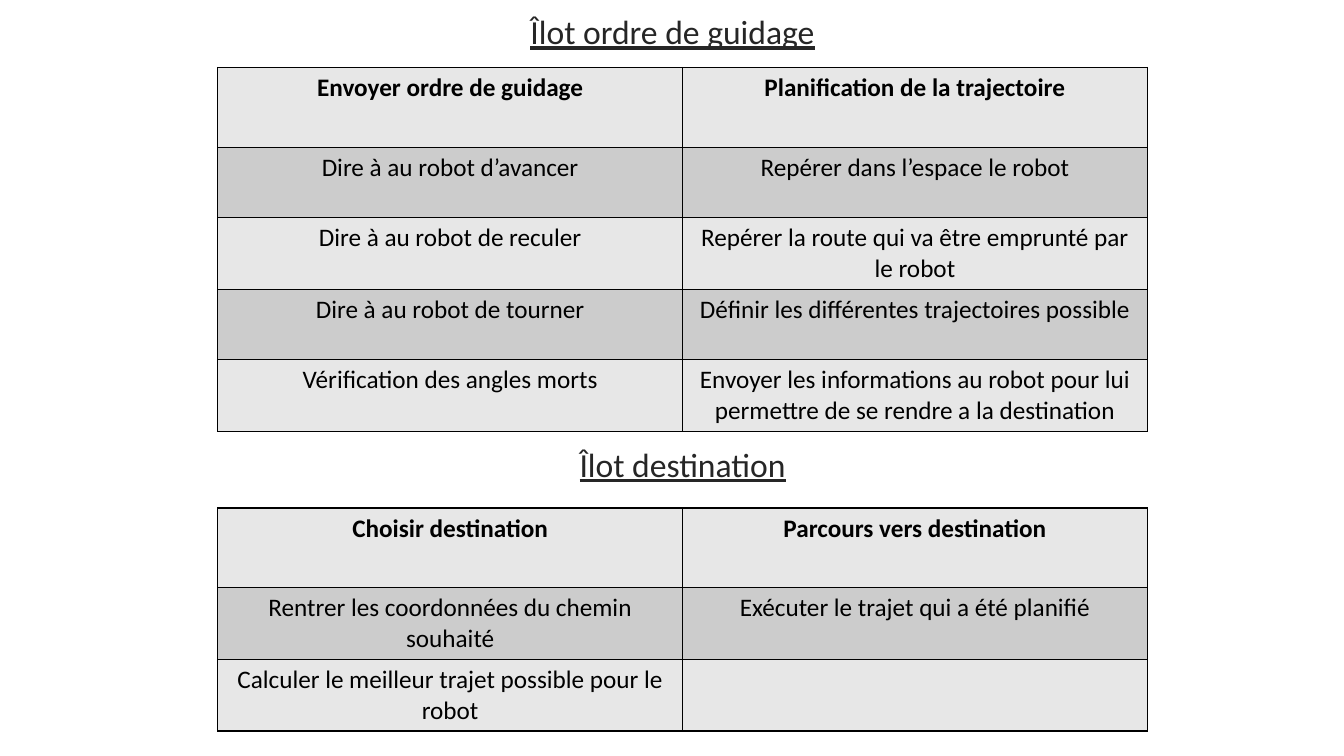
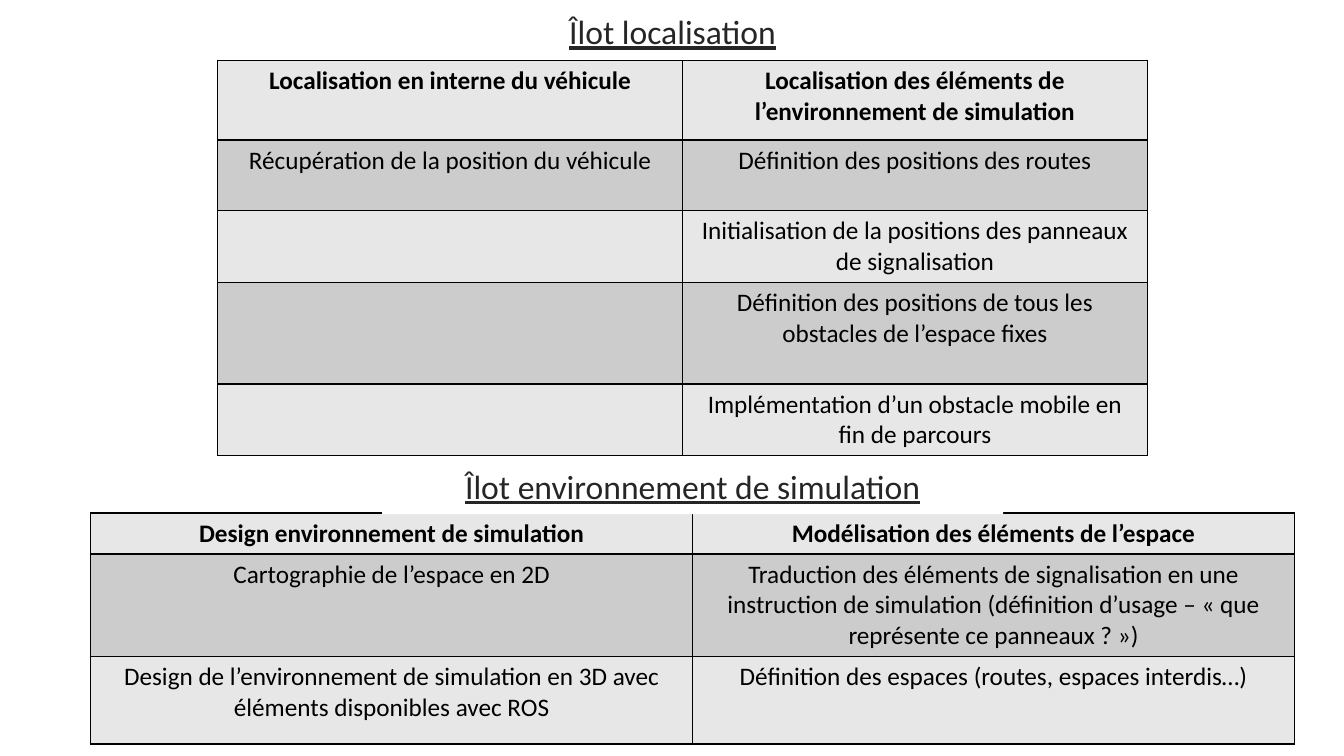
"""Build two slides of titled task tables for the robot guidance project."""
from lxml import etree
from pptx import Presentation
from pptx.dml.color import RGBColor
from pptx.enum.shapes import MSO_SHAPE
from pptx.enum.text import MSO_ANCHOR, PP_ALIGN
from pptx.oxml import parse_xml
from pptx.oxml.ns import nsdecls
from pptx.util import Inches, Pt

RECTANGLE = MSO_SHAPE.RECTANGLE
MIDDLE = MSO_ANCHOR.MIDDLE
CENTER = PP_ALIGN.CENTER

WHITE, BLACK, TITLE_GREY = "FFFFFF", "000000", "262626"
BANDS = ["E7E7E7", "CCCCCC"]
TITLE_FORMAT = {"size": Pt(24), "name": "Calibri", "underline": True}
CELL_FORMAT = {"size": Pt(18), "name": "Calibri"}
TITLE_HEIGHT = 0.56


def rgb(value):
    """Turn a hex string into a colour."""
    return RGBColor.from_string(value)


def write(frame, text, color, formats):
    """Write one centred paragraph with the given font formats."""
    paragraph = frame.paragraphs[0]
    paragraph.alignment = CENTER
    run = paragraph.add_run()
    run.text = text
    run.font.color.rgb = rgb(color)
    for key, value in formats.items():
        setattr(run.font, key, value)


SLIDES = [
    [
        {
            "title": "Îlot ordre de guidage",
            "title_box": (4.76, 0.03, 3.82),
            "table_box": (2.16, 0.67, 9.22),
            "heights": [0.79, 0.7, 0.71, 0.7, 0.71],
            "rows": [
                ("Envoyer ordre de guidage", "Planification de la trajectoire"),
                ("Dire à au robot d’avancer", "Repérer dans l’espace le robot"),
                ("Dire à au robot de reculer",
                 "Repérer la route qui va être emprunté par le robot"),
                ("Dire à au robot de tourner",
                 "Définir les différentes trajectoires possible"),
                ("Vérification des angles morts",
                 "Envoyer les informations au robot pour lui permettre "
                 "de se rendre a la destination"),
            ],
        },
        {
            "title": "Îlot destination",
            "title_box": (4.86, 4.32, 3.82),
            "table_box": (2.16, 5.04, 9.22),
            "heights": [0.79, 0.71, 0.71],
            "rows": [
                ("Choisir destination", "Parcours vers destination"),
                ("Rentrer les coordonnées du chemin souhaité",
                 "Exécuter le trajet qui a été planifié"),
                ("Calculer le meilleur trajet possible pour le robot", ""),
            ],
        },
    ],
    [
        {
            "title": "Îlot localisation",
            "title_box": (4.76, 0.03, 3.82),
            "table_box": (2.16, 0.6, 9.22),
            "heights": [0.79, 0.7, 0.71, 1.01, 0.71],
            "rows": [
                ("Localisation en interne du véhicule",
                 "Localisation des éléments de l’environnement de simulation"),
                ("Récupération de la position du véhicule",
                 "Définition des positions des routes"),
                ("", "Initialisation de la positions des panneaux de signalisation"),
                ("", "Définition des positions de tous les obstacles "
                     "de l’espace fixes"),
                ("", "Implémentation d’un obstacle mobile en fin de parcours"),
            ],
        },
        {
            "title": "Îlot environnement de simulation",
            "title_box": (3.79, 4.54, 6.16),
            "table_box": (0.9, 5.09, 11.94),
            "heights": [0.4, 1.01, 0.87],
            "rows": [
                ("Design environnement de simulation",
                 "Modélisation des éléments de l’espace"),
                ("Cartographie de l’espace en 2D",
                 "Traduction des éléments de signalisation en une instruction "
                 "de simulation (définition d’usage – «\u00a0que représente "
                 "ce panneaux ?\u00a0»)"),
                ("Design de l’environnement de simulation en 3D avec éléments "
                 "disponibles avec ROS",
                 "Définition des espaces (routes, espaces interdis…)"),
            ],
        },
    ],
]

border = parse_xml(
    f'<a:ln {nsdecls("a")} w="12700"><a:solidFill>'
    f'<a:srgbClr val="{BLACK}"/></a:solidFill></a:ln>'
)
border_markup = etree.tostring(border, encoding="unicode")

presentation = Presentation()
presentation.slide_width = Inches(13.33)
presentation.slide_height = Inches(7.5)
blank_layout = presentation.slide_layouts[6]

for islands in SLIDES:
    slide = presentation.slides.add_slide(blank_layout)
    for island in islands:
        rows, heights = island["rows"], island["heights"]
        left, top, width = map(Inches, island["table_box"])
        tasks = slide.shapes.add_table(
            len(rows), 2, left, top, width, Inches(sum(heights))).table
        for row_index, texts in enumerate(rows):
            tasks.rows[row_index].height = Inches(heights[row_index])
            for column_index, text in enumerate(texts):
                cell = tasks.cell(row_index, column_index)
                properties = cell._tc.get_or_add_tcPr()
                for side in "LRTB":
                    properties.append(parse_xml(
                        border_markup.replace("a:ln ", f"a:ln{side} ")
                        .replace("</a:ln>", f"</a:ln{side}>")))
                cell.fill.solid()
                cell.fill.fore_color.rgb = rgb(BANDS[row_index % 2])
                if text:
                    write(cell.text_frame, text, BLACK,
                          {**CELL_FORMAT, "bold": row_index == 0})

        left, top, width = map(Inches, island["title_box"])
        title = slide.shapes.add_shape(
            RECTANGLE, left, top, width, Inches(TITLE_HEIGHT))
        title.shadow.inherit = False
        title.fill.solid()
        title.fill.fore_color.rgb = rgb(WHITE)
        title.line.fill.background()
        title.text_frame.word_wrap = True
        title.text_frame.vertical_anchor = MIDDLE
        write(title.text_frame, island["title"], TITLE_GREY, TITLE_FORMAT)

presentation.save("out.pptx")
